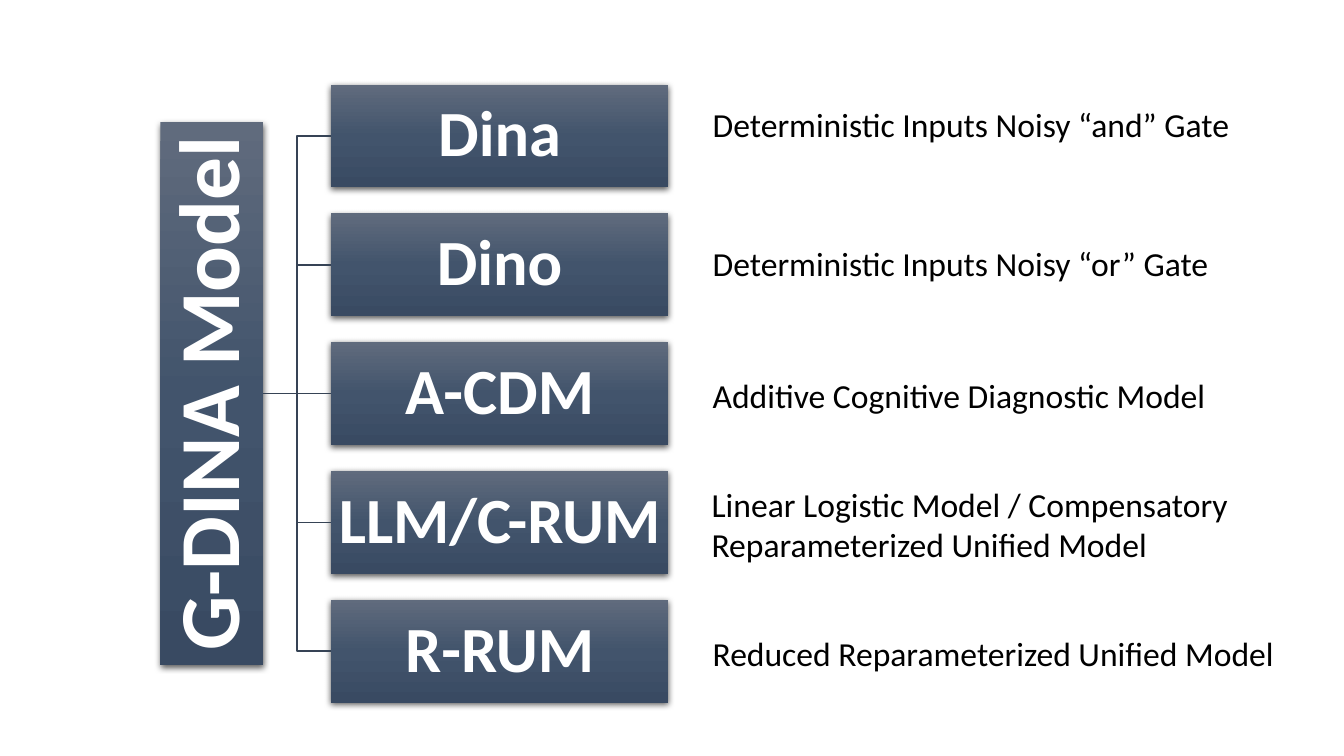
from pptx import Presentation
from pptx.dml.color import RGBColor
from pptx.enum.shapes import MSO_CONNECTOR, MSO_SHAPE
from pptx.enum.text import MSO_ANCHOR, MSO_AUTO_SIZE, PP_ALIGN
from pptx.oxml import parse_xml
from pptx.oxml.ns import nsdecls
from pptx.util import Inches, Pt
from lxml import etree

RECT = MSO_SHAPE.RECTANGLE
ELBOW, STRAIGHT = MSO_CONNECTOR.ELBOW, MSO_CONNECTOR.STRAIGHT
MIDDLE, CENTER = MSO_ANCHOR.MIDDLE, PP_ALIGN.CENTER
FIT_SHAPE = MSO_AUTO_SIZE.SHAPE_TO_FIT_TEXT

WHITE = RGBColor(0xFF, 0xFF, 0xFF)
BLACK = RGBColor(0x00, 0x00, 0x00)
LINE = RGBColor(0x36, 0x43, 0x55)
GRADIENT = [(0, RGBColor(0x60, 0x6B, 0x7D)),
            (50, RGBColor(0x42, 0x54, 0x6C)),
            (100, RGBColor(0x39, 0x4A, 0x62))]
FONT = "Calibri"

# Name, description lines, left and top of the description
MODELS = [
    ("Dina", ["Deterministic Inputs Noisy “and” Gate"], 6.97, 0.98),
    ("Dino", ["Deterministic Inputs Noisy “or” Gate"], 6.97, 2.36),
    ("A-CDM", ["Additive Cognitive Diagnostic Model"], 6.97, 3.67),
    ("LLM/C-RUM", ["Linear Logistic Model / Compensatory",
                   "Reparameterized Unified Model"], 6.96, 4.75),
    ("R-RUM", ["Reduced Reparameterized Unified Model"], 6.97, 6.23),
]
BOX_LEFT, BOX_W, BOX_H = 3.28, 3.35, 1.02
FIRST_TOP, LAST_TOP = 0.84, 5.95
PITCH = (LAST_TOP - FIRST_TOP) / (len(MODELS) - 1)
ROOT_LEFT, ROOT_H = 1.59, 5.38
ROOT_TOP = (FIRST_TOP + LAST_TOP + BOX_H - ROOT_H) / 2


def add_run(p, text, size, color, bold=False):
    r = p.add_run()
    r.text = text
    r.font.name = FONT
    r.font.size = Pt(size)
    r.font.bold = bold
    r.font.color.rgb = color


def add_box(left, top, width, height, text, size, inset):
    sp = s.shapes.add_shape(RECT, Inches(left), Inches(top), Inches(width), Inches(height))
    sp.line.fill.background()
    sp.shadow.inherit = False

    # Three-stop gradient and soft shadow below
    stops = "".join(f'<a:gs pos="{pos * 1000}"><a:srgbClr val="{color}"/></a:gs>'
                    for pos, color in GRADIENT)
    sp_pr = sp._element.spPr
    sp_pr.ln.addprevious(parse_xml(
        f'<a:gradFill {nsdecls("a")}><a:gsLst>{stops}</a:gsLst>'
        '<a:lin ang="5400000" scaled="0"/></a:gradFill>'))
    sp_pr.find("{*}effectLst").append(parse_xml(
        f'<a:outerShdw {nsdecls("a")} blurRad="{Pt(4.5)}" dist="{Pt(1.5)}" dir="5400000" '
        'algn="ctr" rotWithShape="0"><a:srgbClr val="000000"><a:alpha val="63000"/>'
        '</a:srgbClr></a:outerShdw>'))

    tf = sp.text_frame
    tf.word_wrap = True
    tf.vertical_anchor = MIDDLE
    tf.margin_left = tf.margin_right = tf.margin_top = tf.margin_bottom = Inches(inset)
    p = tf.paragraphs[0]
    p.alignment = CENTER
    p.line_spacing = 0.9
    add_run(p, text, size, WHITE, bold=True)
    return sp


prs = Presentation()
prs.slide_width, prs.slide_height = Inches(13.33), Inches(7.5)
s = prs.slides.add_slide(prs.slide_layouts[6])

# Root bar, text reading upwards
root = add_box(ROOT_LEFT, ROOT_TOP, BOX_H, ROOT_H, "G-DINA Model", 61, 0.04)
root.text_frame._txBody.bodyPr.set("vert", "vert270")

for i, (name, lines, left, top) in enumerate(MODELS):
    # Model box
    box = add_box(BOX_LEFT, FIRST_TOP + i * PITCH, BOX_W, BOX_H, name, 46, 0.03)

    # Branch from the root; the middle one is straight
    kind = STRAIGHT if i == len(MODELS) // 2 else ELBOW
    branch = s.shapes.add_connector(kind, 0, 0, 0, 0)
    branch.begin_connect(root, 3)
    branch.end_connect(box, 1)
    branch.line.color.rgb = LINE
    branch.line.width = Pt(1)
    etree.SubElement(branch._element.spPr,
                     "{http://schemas.openxmlformats.org/drawingml/2006/main}effectLst")

    # Description
    height = 0.5 + 0.41 * (len(lines) - 1)
    tb = s.shapes.add_textbox(Inches(left), Inches(top), Inches(5.83), Inches(height))
    tf = tb.text_frame
    tf.word_wrap = True
    tf.auto_size = FIT_SHAPE
    for j, line in enumerate(lines):
        p = tf.add_paragraph() if j else tf.paragraphs[0]
        add_run(p, line, 24, BLACK)

prs.save("out.pptx")
